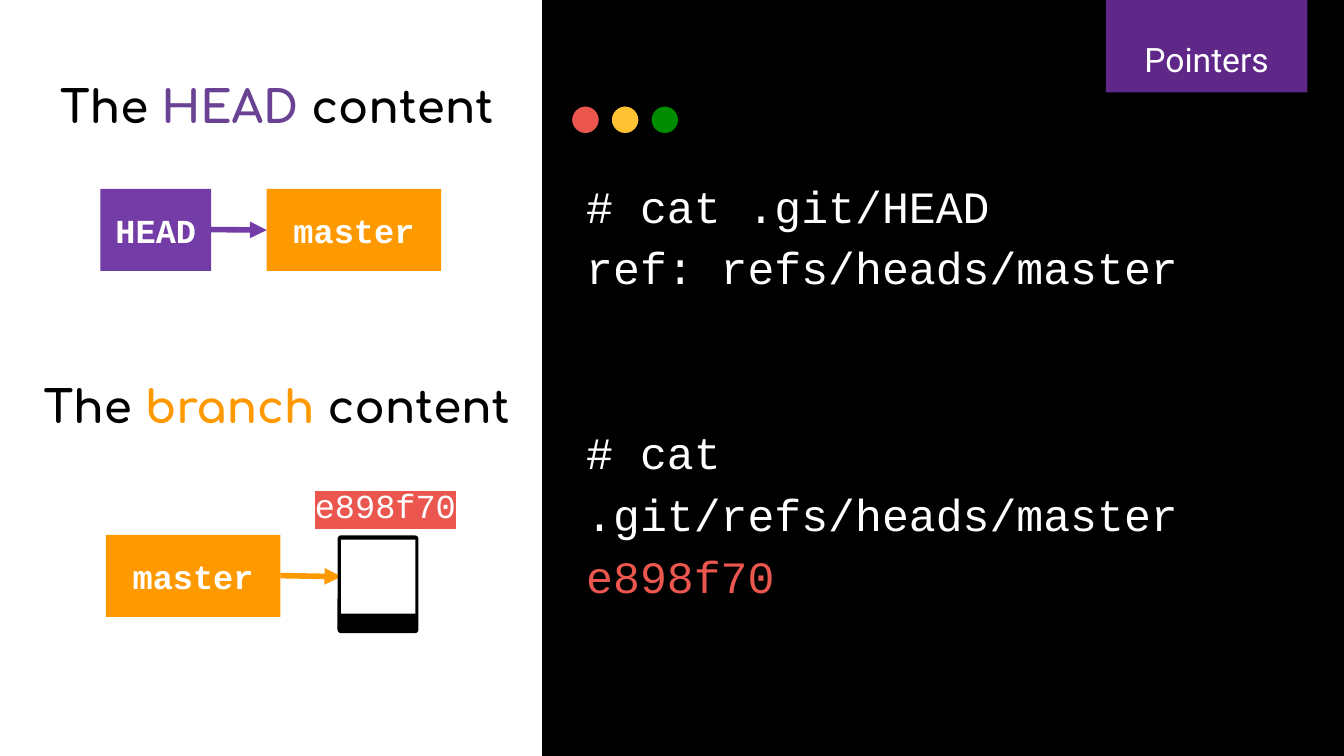
import pptx
import pptx.dml.color
import pptx.enum.dml
import pptx.enum.shapes
import pptx.enum.text
import pptx.oxml
import pptx.oxml.ns
import pptx.util
from pptx.util import Cm, Pt

SHAPE = pptx.enum.shapes.MSO_SHAPE
ALIGN = pptx.enum.text.PP_ALIGN
ANCHOR = pptx.enum.text.MSO_ANCHOR
MONO = "Courier New"
BLACK, WHITE = "000000", "FFFFFF"
PURPLE, ORANGE, RED = "733CA6", "FF9900", "EB574F"


def rgb(value):
    return pptx.dml.color.RGBColor.from_string(value)


def make(tag, **attrs):
    el = pptx.oxml.parse_xml(f"<{tag} {pptx.oxml.ns.nsdecls('a')}/>")
    for name, value in attrs.items():
        el.set(name, value)
    return el


def add_block(shapes, kind, at, fill, line=None):
    """Add a filled preset shape; at is left, top, width, height in cm."""
    sp = shapes.add_shape(kind, *map(Cm, at))
    sp.shadow.inherit = False
    sp.fill.solid()
    sp.fill.fore_color.rgb = rgb(fill)
    if line:
        sp.line.color.rgb = rgb(line)
        sp.line.width = Pt(0.75)
    else:
        sp.line.fill.background()
    return sp


def prepare_frame(sp, anchor=ANCHOR.TOP):
    tf = sp.text_frame
    tf.word_wrap = True
    tf.auto_size = pptx.enum.text.MSO_AUTO_SIZE.NONE
    tf.vertical_anchor = anchor
    tf.margin_left = tf.margin_right = Cm(0.25)
    tf.margin_top = tf.margin_bottom = Cm(0.25)
    return tf


def style(p, size, font, color=None, bold=False, align=ALIGN.LEFT):
    p.alignment = align
    p.font.size = Pt(size)
    p.font.name = font
    p.font.bold = bold
    if color:
        p.font.color.rgb = rgb(color)


def add_text(s, at, text, size, font, align=ALIGN.LEFT, anchor=ANCHOR.TOP):
    tf = prepare_frame(s.shapes.add_textbox(*map(Cm, at)), anchor)
    p = tf.paragraphs[0]
    p.text = text
    style(p, size, font, WHITE, align=align)
    return p


def add_ref(s, left, top, width, text, fill):
    """Add a box that names a Git reference."""
    sp = add_block(s.shapes, SHAPE.RECTANGLE, (left, top, width, 1.55), fill)
    p = prepare_frame(sp, ANCHOR.MIDDLE).paragraphs[0]
    p.text = text
    style(p, 18, MONO, WHITE, True, ALIGN.CENTER)


def add_arrow(s, x1, y1, x2, y2, color):
    cn = s.shapes.add_connector(pptx.enum.shapes.MSO_CONNECTOR.STRAIGHT,
                                Cm(x1), Cm(y1), Cm(x2), Cm(y2))
    cn.line.color.rgb = rgb(color)
    cn.line.width = Pt(3)
    cn.line._get_or_add_ln().append(make("a:tailEnd", type="triangle"))
    cn._element.spPr.append(make("a:effectLst"))


def fill_heading(sp, top, keyword, color):
    """Place a heading whose middle word is coloured."""
    sp.left, sp.top, sp.width, sp.height = map(Cm, (0.53, top, 9.4, 2.64))
    p = prepare_frame(sp).paragraphs[0]
    style(p, 24, "Comfortaa", bold=True, align=ALIGN.CENTER)
    for text, run_color in (("The ", BLACK), (keyword + " ", color),
                            ("content", BLACK)):
        r = p.add_run()
        r.text = text
        r.font.color.rgb = rgb(run_color)


def add_terminal(s):
    window = s.shapes.add_group_shape().shapes
    add_block(window, SHAPE.RECTANGLE, (10.25, 0, 15.15, 14.29), BLACK, BLACK)
    for i, color in enumerate((RED, "FFC233", "008C00")):
        add_block(window, SHAPE.OVAL, (10.8 + 0.75 * i, 2, 0.53, 0.53),
                  color, BLACK)

    tf = prepare_frame(s.shapes.add_textbox(
        *map(Cm, (10.83, 2.97, 14.57, 8.33))))
    lines = (("# cat .git/HEAD", WHITE, 0),
             ("ref: refs/heads/master", WHITE, 0),
             ("# cat .git/refs/heads/master", WHITE, 66),
             ("e898f70", RED, 0))
    for i, (text, color, before) in enumerate(lines):
        p = tf.add_paragraph() if i else tf.paragraphs[0]
        p.text = text
        p.line_spacing = 1.15
        p.space_before = Pt(before)
        style(p, 24, MONO, color)


def add_badge(s):
    sp = add_block(s.shapes, SHAPE.RECTANGLE, (20.9, 0, 3.81, 1.75), "7030A0")
    color = sp._element.spPr.find(".//" + pptx.oxml.ns.qn("a:srgbClr"))
    color.append(make("a:alpha", val="85000"))
    p = add_text(s, (20.9, 0.33, 3.81, 1.19), "Pointers", 18, "Roboto",
                 ALIGN.CENTER, ANCHOR.MIDDLE)
    p.line_spacing = 1.5


def add_commit(s):
    icon = s.shapes.add_group_shape().shapes
    frame = add_block(icon, SHAPE.ROUNDED_RECTANGLE,
                      (6.38, 10.12, 1.53, 1.85), BLACK)
    frame.adjustments[0] = 0.045
    add_block(icon, SHAPE.RECTANGLE, (6.45, 10.2, 1.4, 1.4), WHITE)

    # Highlighted commit id
    p = add_text(s, (5.7, 8.92, 3.3, 1.19), "e898f70", 18, MONO)
    r = p.runs[0]
    r.font.color.rgb = rgb(WHITE)
    highlight = make("a:highlight")
    highlight.append(make("a:srgbClr", val=RED))
    r._r.get_or_add_rPr().append(highlight)


def main():
    prs = pptx.Presentation()
    prs.slide_width, prs.slide_height = Cm(25.4), Cm(14.29)
    s = prs.slides.add_slide(prs.slide_layouts[5])

    # Headings
    fill_heading(s.shapes.title, 1.24, "HEAD", "6A4294")
    fill_heading(s.shapes.add_textbox(0, 0, 0, 0), 6.91, "branch", ORANGE)

    # Terminal side
    add_terminal(s)
    add_badge(s)

    # HEAD points to a branch; the arrow starts behind the HEAD box
    add_ref(s, 5.04, 3.57, 3.3, "master", ORANGE)
    add_arrow(s, 2, 4.32, 5.04, 4.35, PURPLE)
    add_ref(s, 1.9, 3.57, 2.09, "HEAD", PURPLE)

    # The branch points to a commit
    add_arrow(s, 5.3, 10.88, 6.45, 10.9, ORANGE)
    add_ref(s, 2, 10.11, 3.3, "master", ORANGE)
    add_commit(s)

    prs.save("out.pptx")


if __name__ == "__main__":
    main()
